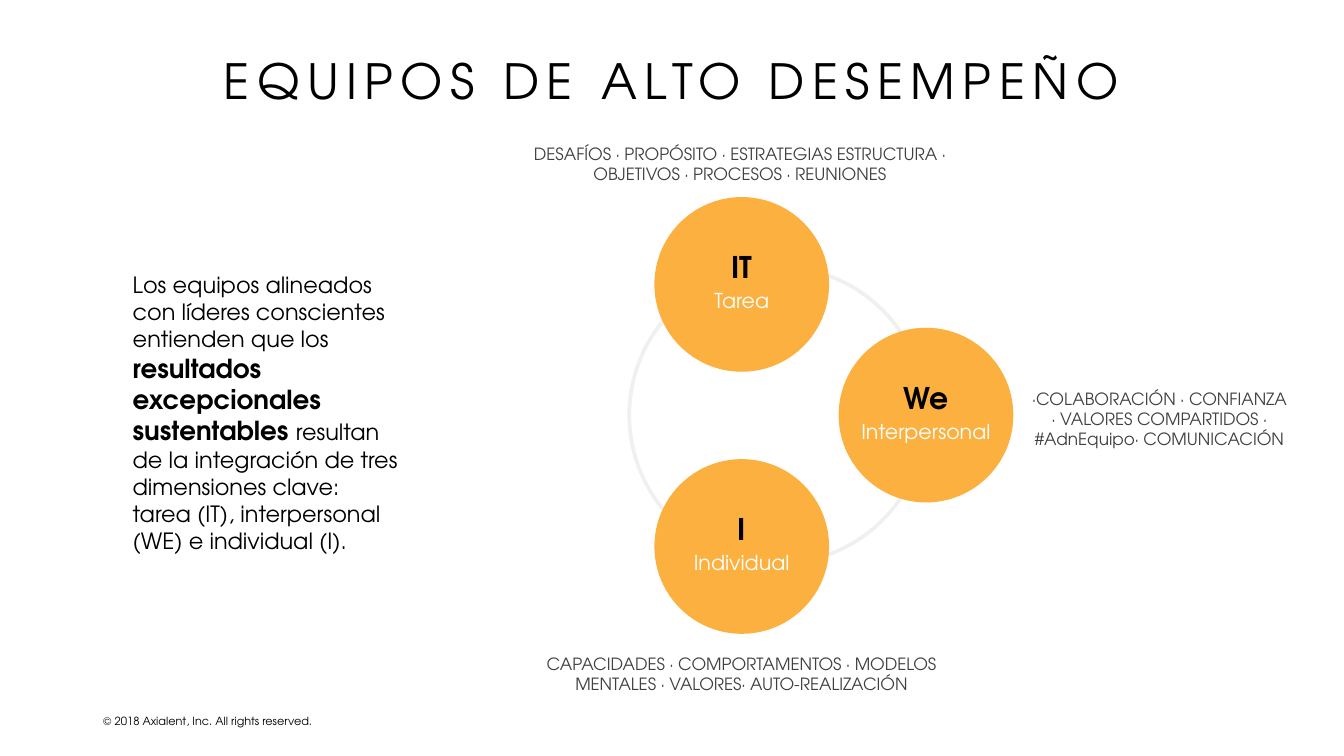
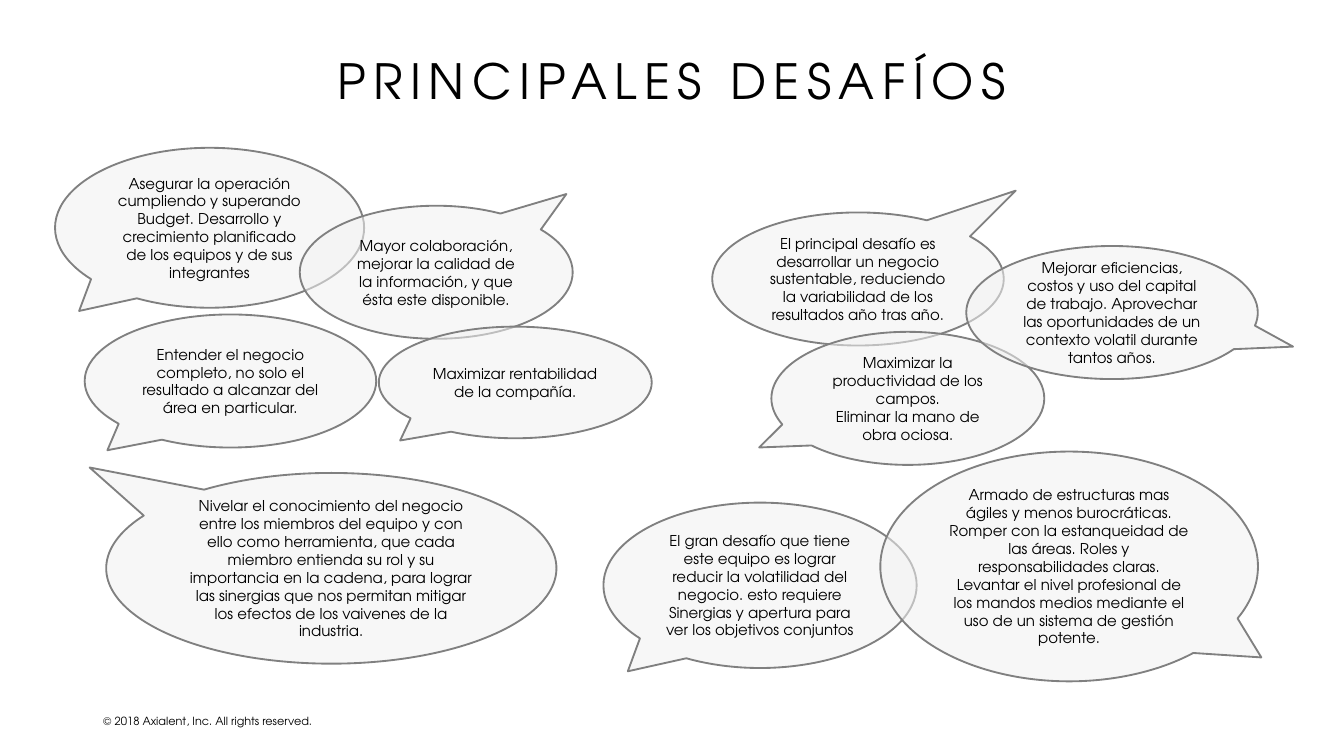
from dataclasses import dataclass
from typing import NamedTuple

from lxml import etree
from pptx import Presentation
from pptx.dml.color import RGBColor
from pptx.enum import shapes, text
from pptx.oxml import ns
from pptx.util import Pt


class Style(NamedTuple):
    size: float
    color: str = "000000"
    bold: bool = False


class Box(NamedTuple):
    left: float
    top: float
    width: float
    height: float

    def inner(self, left, top, width, height):
        return Box(self.left + left, self.top + top, width, height)


@dataclass(frozen=True)
class Theme:
    font: str = "TeX Gyre Adventor"
    accent: str = "FBB03F"
    ring: str = "000000"
    bubble: str = "F2F2F2"
    outline: str = "808080"
    title: Style = Style(26)
    footer: Style = Style(6)
    body: Style = Style(12)
    emphasis: Style = Style(14, bold=True)
    caption: Style = Style(9, "404040")
    circle_name: Style = Style(16, bold=True)
    circle_role: Style = Style(11, "FFFFFF")
    bubble_text: Style = Style(8)


THEME = Theme()
SLIDE = Box(0, 0, 720, 405)
TITLE = Box(48, 27.4, 624, 31.7)
FOOTER = Box(48.2, 379.4, 129, 14.4)
STATEMENT = Box(64, 145.4, 159, 152.6)
DIAGRAM = Box(278.6, 77, 421.4, 294.6)

BUBBLES = [
    ((29.5, 79.2, 165.6, 85.7), (-0.422, 0.52),
     ["Asegurar la operación cumpliendo y superando Budget. Desarrollo y "
      "crecimiento planificado de los equipos y de sus integrantes"]),
    ((45.4, 168.5, 156.2, 71.3), (-0.422, 0.52),
     ["Entender el negocio completo, no solo el resultado a alcanzar del "
      "área en particular."]),
    ((160.6, 110.2, 146.2, 71.3), (0.477, -0.588),
     ["Mayor colaboración, mejorar la calidad de la información, y que "
      "ésta este disponible."]),
    ((56.9, 253.4, 241.2, 102.2), (-0.537, -0.529),
     ["Nivelar el conocimiento del negocio entre los miembros del equipo y "
      "con ello como herramienta, que cada miembro entienda su rol y su "
      "importancia en la cadena, para lograr las sinergias que nos permitan "
      "mitigar los efectos de los vaivenes de la industria."]),
    ((203, 175, 146.2, 59.8), (-0.422, 0.52),
     ["Maximizar rentabilidad de la compañía."]),
    ((381.6, 113.8, 156.2, 71.3), (0.541, -0.664),
     ["El principal desafío es desarrollar un negocio sustentable, "
      "reduciendo la variabilidad de los resultados año tras año."]),
    ((413.3, 177.8, 146.2, 71.3), (-0.545, 0.369),
     ["Maximizar la productividad de los campos.",
      "Eliminar la mano de obra ociosa."]),
    ((323.3, 269.3, 167.8, 88.6), (-0.422, 0.52),
     ["El gran desafío que tiene este equipo es lograr reducir la "
      "volatilidad del negocio. esto requiere Sinergias y apertura para ver "
      "los objetivos conjuntos"]),
    ((471.6, 241.9, 202.3, 123.1), (0.509, 0.396),
     ["Armado de estructuras mas ágiles y menos burocráticas. Romper con la "
      "estanqueidad de las áreas. Roles y responsabilidades claras. Levantar "
      "el nivel profesional de los mandos medios mediante el uso de un "
      "sistema de gestión potente."]),
    ((517.7, 131.8, 156.2, 71.3), (0.621, 0.256),
     ["Mejorar eficiencias, costos y uso del capital de trabajo. Aprovechar "
      "las oportunidades de un contexto volatil durante tantos años."]),
]


def apply_style(font, style):
    font.name = THEME.font
    font.size = Pt(style.size)
    font.bold = style.bold
    font.color.rgb = RGBColor.from_string(style.color)


def write(frame, paragraphs, centered=True, line_spacing=None, tracking=None):
    for index, pieces in enumerate(paragraphs):
        paragraph = frame.add_paragraph() if index else frame.paragraphs[0]
        paragraph.alignment = (
            text.PP_ALIGN.CENTER if centered else text.PP_ALIGN.LEFT)
        if line_spacing:
            paragraph.line_spacing = Pt(line_spacing)
        uniform = len({style for _, style in pieces}) == 1
        if uniform:
            apply_style(paragraph.font, pieces[0][1])
        for wording, style in pieces:
            run = paragraph.add_run()
            run.text = wording
            if not uniform:
                apply_style(run.font, style)
            if tracking:
                run._r.get_or_add_rPr().set("spc", str(tracking * 100))


def add_text(slide, box, paragraphs, margin=0, **options):
    shape = slide.shapes.add_textbox(*map(Pt, box))
    frame = shape.text_frame
    frame.word_wrap = True
    frame.margin_top = frame.margin_bottom = Pt(margin)
    write(frame, paragraphs, **options)


def set_opacity(color_format, percent):
    color = color_format._xFill.find(ns.qn("a:srgbClr"))
    alpha = etree.SubElement(color, ns.qn("a:alpha"))
    alpha.set("val", str(percent * 1000))


def add_outlined(slide, kind, box, fill=None, line=None, width=1):
    shape = slide.shapes.add_shape(kind, *map(Pt, box))
    shape.shadow.inherit = False
    if fill:
        shape.fill.solid()
        shape.fill.fore_color.rgb = RGBColor.from_string(fill)
    else:
        shape.fill.background()
    if line:
        shape.line.color.rgb = RGBColor.from_string(line)
        shape.line.width = Pt(width)
    else:
        shape.line.fill.background()
    return shape


def add_frame(presentation, title):
    slide = presentation.slides.add_slide(presentation.slide_layouts[6])
    add_text(slide, FOOTER,
             [[("© 2018 Axialent, Inc. All rights reserved.", THEME.footer)]],
             margin=3.6, centered=False)
    add_text(slide, TITLE, [[(title, THEME.title)]], tracking=4)
    return slide


def add_statement(slide, box):
    add_text(slide, box, [[
        ("Los equipos alineados con líderes conscientes entienden que los ",
         THEME.body),
        ("resultados excepcionales sustentables ", THEME.emphasis),
        ("resultan de la integración de tres dimensiones clave: tarea (IT), "
         "interpersonal (WE) e individual (I).", THEME.body),
    ]], centered=False)


def add_circle(slide, box, name, role):
    add_outlined(slide, shapes.MSO_SHAPE.OVAL, box, fill=THEME.accent)
    add_text(slide, box.inner(0, 32, box.width, 30.2),
             [[(name, THEME.circle_name)], [(role, THEME.circle_role)]],
             line_spacing=15)


def add_dimensions(slide, box):
    ring_size, circle_size = 159, 93.6
    hub_left, hub_top = 138, 145.4
    ring = add_outlined(
        slide, shapes.MSO_SHAPE.OVAL,
        box.inner(hub_left - ring_size / 2, hub_top - ring_size / 2,
                  ring_size, ring_size),
        line=THEME.ring, width=2)
    set_opacity(LineColor(ring), 5)

    circles = [("IT", "Tarea", -19.2, -70), ("I", "Individual", -19.2, 70.4),
               ("We", "Interpersonal", 79.5, 0)]
    for name, role, across, down in circles:
        add_circle(slide, box.inner(hub_left + across - circle_size / 2,
                                    hub_top + down - circle_size / 2,
                                    circle_size, circle_size), name, role)

    captions = [
        ((0, 0, 235.4, 21.6),
         ["DESAFÍOS · PROPÓSITO · ESTRATEGIAS ESTRUCTURA · OBJETIVOS · "
          "PROCESOS · REUNIONES"]),
        ((0.8, 273, 235.4, 21.6),
         ["CAPACIDADES · COMPORTAMENTOS · MODELOS MENTALES · VALORES· "
          "AUTO-REALIZACIÓN"]),
        ((263.6, 131, 157.7, 32.4),
         ["·COLABORACIÓN · CONFIANZA",
          "· VALORES COMPARTIDOS · #AdnEquipo· COMUNICACIÓN"]),
    ]
    for place, lines in captions:
        add_text(slide, box.inner(*place),
                 [[(line, THEME.caption)] for line in lines])


class LineColor:
    def __init__(self, shape):
        self._xFill = shape.line._ln.find(ns.qn("a:solidFill"))


class FillColor:
    def __init__(self, shape):
        self._xFill = shape._element.spPr.find(ns.qn("a:solidFill"))


def add_bubbles(slide, box):
    for place, tail, lines in BUBBLES:
        bubble = add_outlined(
            slide, shapes.MSO_SHAPE.OVAL_CALLOUT, box.inner(*place),
            fill=THEME.bubble, line=THEME.outline)
        set_opacity(FillColor(bubble), 55)
        for index, offset in enumerate(tail):
            bubble.adjustments[index] = offset
        frame = bubble.text_frame
        frame.word_wrap = True
        frame.vertical_anchor = text.MSO_ANCHOR.MIDDLE
        write(frame, [[(line, THEME.bubble_text)] for line in lines])


def main():
    presentation = Presentation()
    presentation.slide_width = Pt(SLIDE.width)
    presentation.slide_height = Pt(SLIDE.height)

    teams = add_frame(presentation, "EQUIPOS DE ALTO DESEMPEÑO")
    add_dimensions(teams, DIAGRAM)
    add_statement(teams, STATEMENT)

    challenges = add_frame(presentation, "PRINCIPALES DESAFÍOS")
    add_bubbles(challenges, SLIDE)

    presentation.save("out.pptx")


if __name__ == "__main__":
    main()
